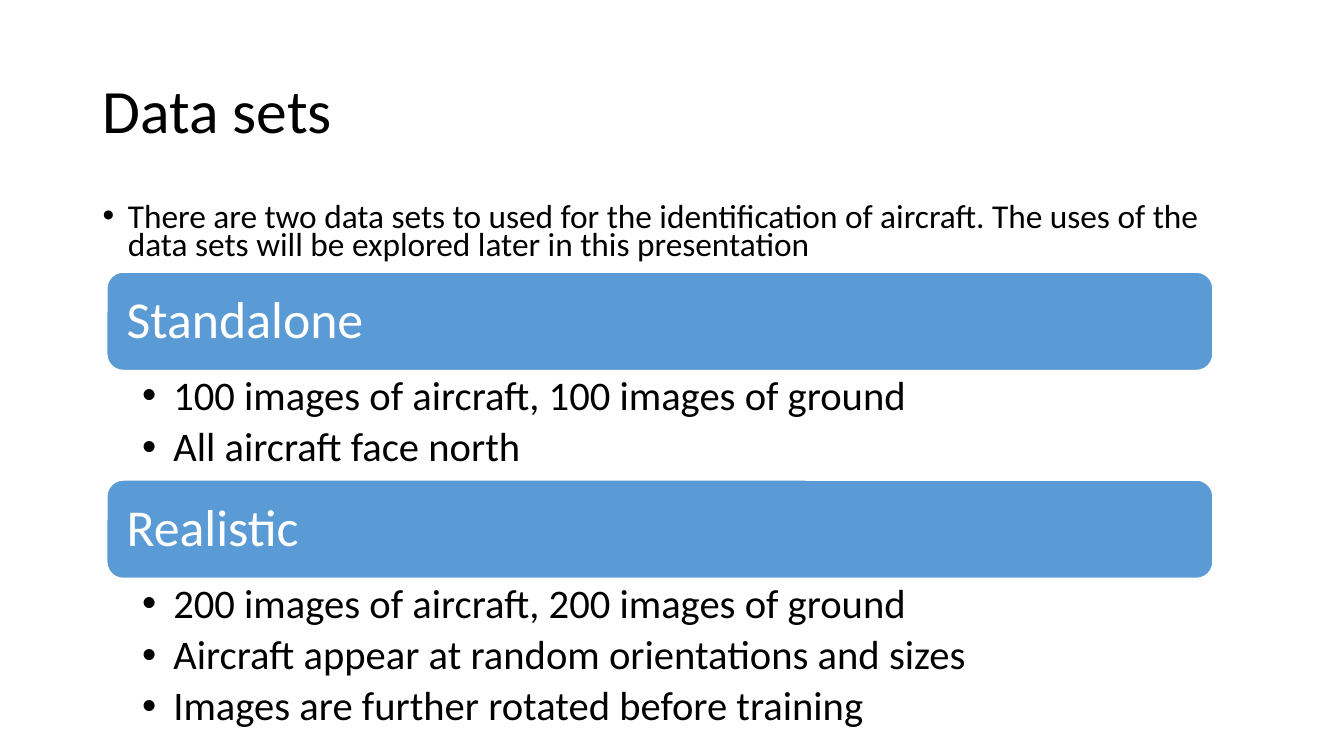
from dataclasses import dataclass

from lxml import etree
from pptx import Presentation
from pptx.dml.color import RGBColor
from pptx.enum.shapes import MSO_SHAPE
from pptx.enum.text import MSO_ANCHOR, PP_ALIGN
from pptx.oxml.ns import qn
from pptx.util import Inches, Pt

ROUNDED = MSO_SHAPE.ROUNDED_RECTANGLE
TOP, MIDDLE = MSO_ANCHOR.TOP, MSO_ANCHOR.MIDDLE
LEFT = PP_ALIGN.LEFT
SLIDE_WIDTH, SLIDE_HEIGHT = Inches(13.33), Inches(7.5)


@dataclass(frozen=True)
class Theme:
    """Colours, font and type sizes of the slide."""
    font: str = "Calibri"
    ink: RGBColor = RGBColor(0, 0, 0)
    paper: RGBColor = RGBColor(255, 255, 255)
    bar: RGBColor = RGBColor(0x5B, 0x9B, 0xD5)
    title: float = 44
    intro: float = 23.8
    heading: float = 37
    item: float = 29


THEME = Theme()
TITLE = "Data sets"
INTRO = ("There are two data sets to used for the identification of aircraft. "
         "The uses of the data sets will be explored later in this presentation")
DATA_SETS = {
    "Standalone": ["100 images of aircraft, 100 images of ground",
                   "All aircraft face north"],
    "Realistic": ["200 images of aircraft, 200 images of ground",
                  "Aircraft appear at random orientations and sizes",
                  "Images are further rotated before training"],
}

MARGIN, TEXT_WIDTH = 0.92 / 13.33, 11.5 / 13.33
BAR_LEFT, BAR_WIDTH = 1.06 / 13.33, 10.97 / 13.33
BARS_TOP, BAR_HEIGHT, ITEM_HEIGHT = 0.36, 0.13, 0.0725


def place(left, top, width, height):
    """Turn shares of the slide into lengths."""
    return (int(SLIDE_WIDTH * left), int(SLIDE_HEIGHT * top),
            int(SLIDE_WIDTH * width), int(SLIDE_HEIGHT * height))


def write(frame, lines, size, color, anchor=TOP, spacing=0.9,
          insets=(0.1, 0.05, 0.1, 0.05), before=0, after=0, indent=0):
    """Fill a text frame with lines, bulleted when an indent is given."""
    frame.word_wrap = True
    frame.vertical_anchor = anchor
    (frame.margin_left, frame.margin_top,
     frame.margin_right, frame.margin_bottom) = map(Inches, insets)
    for number, line in enumerate(lines):
        paragraph = frame.add_paragraph() if number else frame.paragraphs[0]
        paragraph.text = line
        paragraph.alignment = LEFT
        paragraph.line_spacing = spacing
        paragraph.space_before, paragraph.space_after = Pt(before), Pt(after)
        paragraph.font.name = THEME.font
        paragraph.font.size = Pt(size)
        paragraph.font.color.rgb = color
        if indent:
            add_bullet(paragraph, indent)


def add_bullet(paragraph, indent):
    """Give a paragraph a round bullet and a hanging indent."""
    properties = paragraph._p.get_or_add_pPr()
    properties.set("marL", str(Inches(indent)))
    properties.set("indent", str(-Inches(indent)))
    bullet_font = etree.Element(qn("a:buFont"), typeface="Arial")
    bullet = etree.Element(qn("a:buChar"), char="•")
    spacing_end = properties.find(qn("a:spcAft"))
    spacing_end.addnext(bullet_font)
    bullet_font.addnext(bullet)


def add_text(slide, area, lines, size, **layout):
    """Add a text box in the ink colour."""
    frame = slide.shapes.add_textbox(*place(*area)).text_frame
    write(frame, lines, size, THEME.ink, **layout)


def add_heading_bar(slide, top, heading):
    """Add a rounded bar that names a data set."""
    bar = slide.shapes.add_shape(
        ROUNDED, *place(BAR_LEFT, top, BAR_WIDTH, BAR_HEIGHT))
    bar.shadow.inherit = False
    bar.fill.solid()
    bar.fill.fore_color.rgb = THEME.bar
    bar.line.color.rgb = THEME.paper
    bar.line.width = Pt(1)
    write(bar.text_frame, [heading], THEME.heading, THEME.paper,
          anchor=MIDDLE, insets=(0.15, 0.15, 0.15, 0.15))


def add_data_sets(slide):
    """Stack each heading bar above its items."""
    top = BARS_TOP
    for heading, items in DATA_SETS.items():
        add_heading_bar(slide, top, heading)
        top += BAR_HEIGHT
        height = ITEM_HEIGHT * len(items)
        add_text(slide, (BAR_LEFT, top, BAR_WIDTH, height), items, THEME.item,
                 insets=(0.35, 0.05, 0.29, 0.05), after=5.3, indent=0.31)
        top += height


def main():
    """Build and save the slide."""
    deck = Presentation()
    deck.slide_width, deck.slide_height = SLIDE_WIDTH, SLIDE_HEIGHT
    slide = deck.slides.add_slide(deck.slide_layouts[6])
    add_text(slide, (MARGIN, 0.4 / 7.5, TEXT_WIDTH, 1.45 / 7.5), [TITLE],
             THEME.title, anchor=MIDDLE)
    add_text(slide, (MARGIN, 2 / 7.5, TEXT_WIDTH, 0.67 / 7.5), [INTRO],
             THEME.intro, spacing=0.7, before=10, indent=0.25)
    add_data_sets(slide)
    deck.save("out.pptx")


if __name__ == "__main__":
    main()
